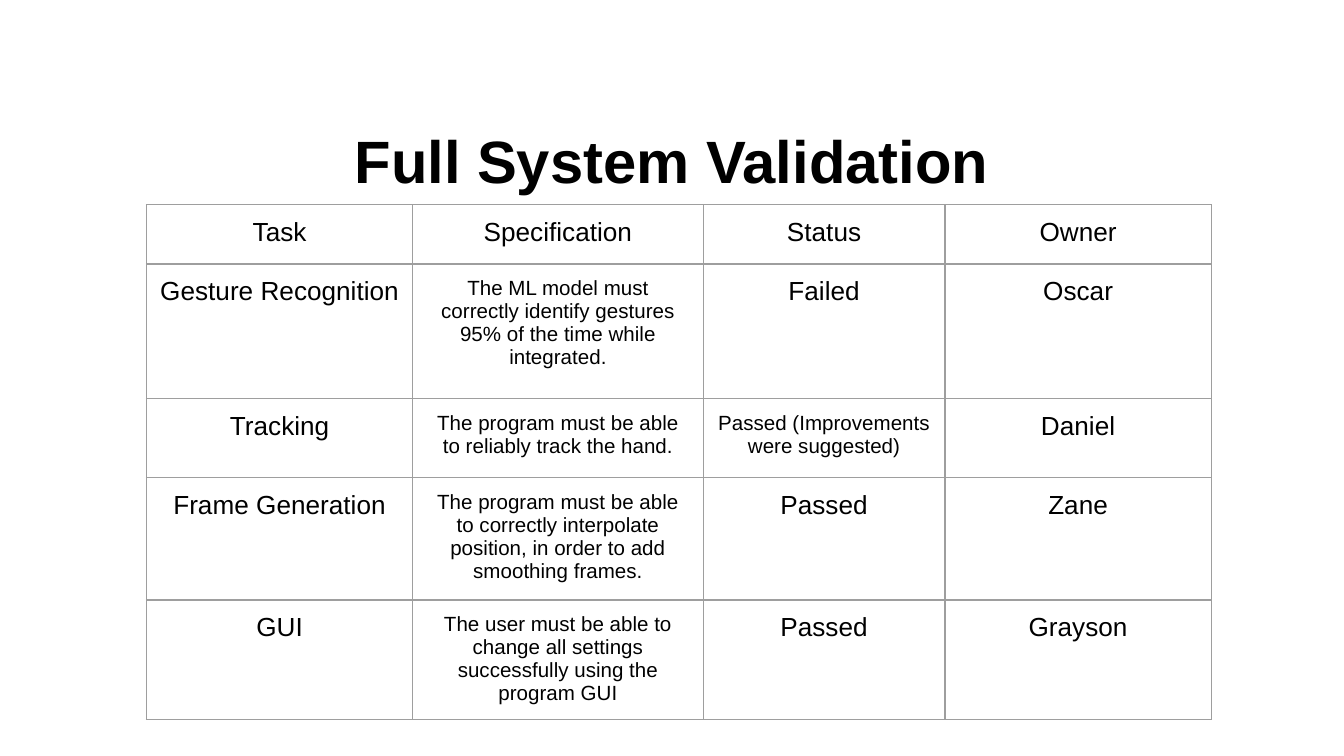
import pptx
import pptx.dml.color
import pptx.enum.text
import pptx.oxml
import pptx.oxml.ns
import pptx.util
from pptx.util import Cm

BLACK = "000000"
GRID = "9E9E9E"
LEFT, TOP = 2.77, 3.87
COL_WIDTHS = [5.03, 5.49, 4.57, 5.03]
ROW_HEIGHTS = [1.12, 2.54, 1.5, 2.31, 2.26]
LONG_TEXT = 20  # cells with more characters use the small size
ROWS = [
    ["Task", "Specification", "Status", "Owner"],
    ["Gesture Recognition",
     "The ML model must correctly identify gestures 95% of the time while integrated.",
     "Failed", "Oscar"],
    ["Tracking", "The program must be able to reliably track the hand.",
     "Passed (Improvements were suggested)", "Daniel"],
    ["Frame Generation",
     "The program must be able to correctly interpolate position, in order to add smoothing frames.",
     "Passed", "Zane"],
    ["GUI",
     "The user must be able to change all settings successfully using the program GUI",
     "Passed", "Grayson"],
]


def rgb(value):
    return pptx.dml.color.RGBColor.from_string(value)


def set_attrs(obj, values):
    for name, value in values.items():
        setattr(obj, name, value)


def write_text(tf, text, size, bold=False):
    p = tf.paragraphs[0]
    p.alignment = pptx.enum.text.PP_ALIGN.CENTER
    r = p.add_run()
    r.text = text
    set_attrs(r.font, {"name": "Arial", "size": pptx.util.Pt(size), "bold": bold})
    r.font.color.rgb = rgb(BLACK)


def add_borders(cell, color, width):
    tcPr = cell._tc.get_or_add_tcPr()
    for side in ("lnL", "lnR", "lnT", "lnB"):
        tcPr.append(pptx.oxml.parse_xml(
            f'<a:{side} {pptx.oxml.ns.nsdecls("a")} w="{pptx.util.Pt(width)}">'
            f'<a:solidFill><a:srgbClr val="{color}"/></a:solidFill></a:{side}>'))


def add_title(slide, text):
    sp = slide.shapes.title
    set_attrs(sp, {"left": Cm(1.27), "top": Cm(2.18),
                   "width": Cm(22.86), "height": Cm(1.68)})
    set_attrs(sp.text_frame, {
        "word_wrap": True,
        "auto_size": pptx.enum.text.MSO_AUTO_SIZE.NONE,
        "vertical_anchor": pptx.enum.text.MSO_ANCHOR.MIDDLE})
    write_text(sp.text_frame, text, 32, bold=True)


def fill_cell(cell, text):
    margins = ("margin_left", "margin_right", "margin_top", "margin_bottom")
    set_attrs(cell, dict.fromkeys(margins, Cm(0.25)))
    add_borders(cell, GRID, 0.75)
    cell.fill.background()
    write_text(cell.text_frame, text, 11 if len(text) > LONG_TEXT else 14)


def add_validation_table(slide):
    table = slide.shapes.add_table(
        len(ROWS), len(COL_WIDTHS), Cm(LEFT), Cm(TOP),
        Cm(sum(COL_WIDTHS)), Cm(sum(ROW_HEIGHTS))).table
    set_attrs(table, {"first_row": False, "horz_banding": False})
    for column, width in zip(table.columns, COL_WIDTHS):
        column.width = Cm(width)
    for row, height, texts in zip(table.rows, ROW_HEIGHTS, ROWS):
        row.height = Cm(height)
        for cell, text in zip(row.cells, texts):
            fill_cell(cell, text)


def main():
    prs = pptx.Presentation()
    set_attrs(prs, {"slide_width": Cm(25.4), "slide_height": Cm(14.29)})
    slide = prs.slides.add_slide(prs.slide_layouts.get_by_name("Title Only"))
    add_title(slide, "Full System Validation")
    add_validation_table(slide)
    prs.save("out.pptx")


if __name__ == "__main__":
    main()
